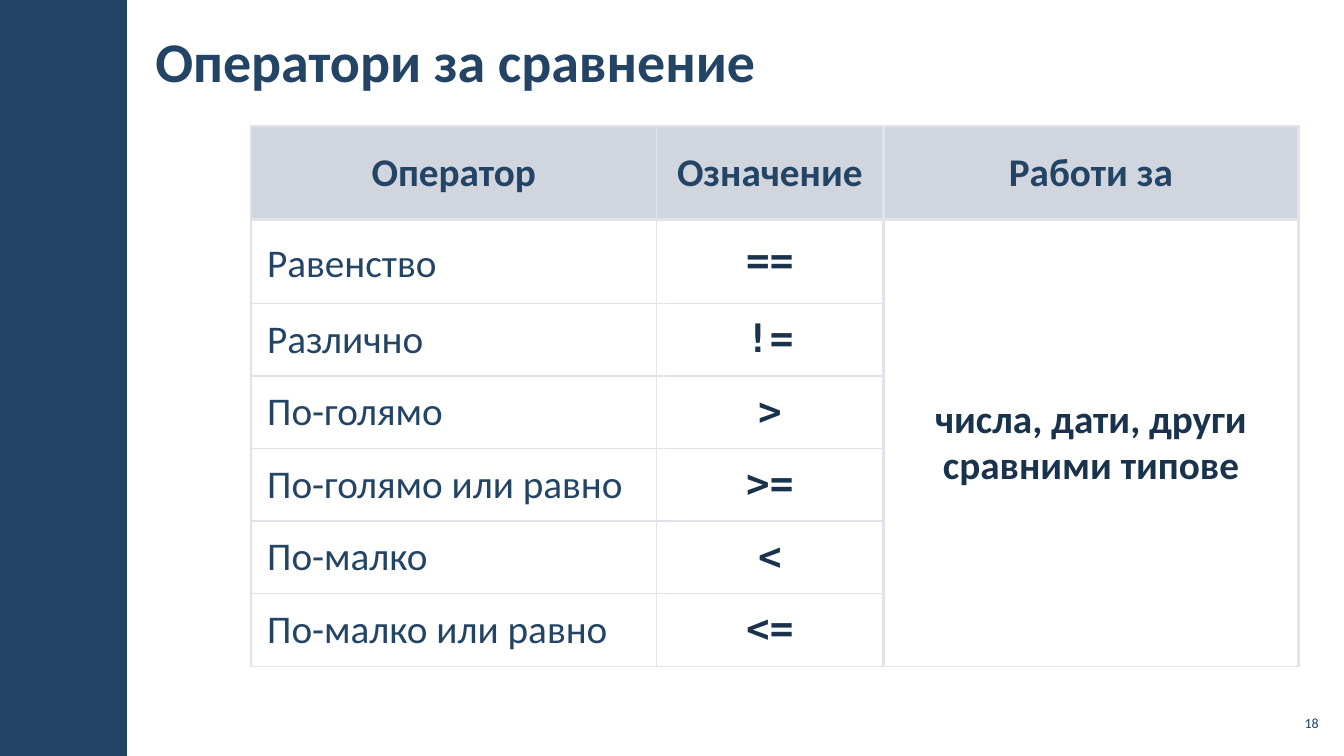
from lxml import etree
from pptx import Presentation
from pptx.dml.color import RGBColor
from pptx.enum.shapes import MSO_SHAPE
from pptx.enum.text import MSO_ANCHOR, PP_ALIGN
from pptx.oxml.ns import qn
from pptx.util import Inches, Pt

RECTANGLE = MSO_SHAPE.RECTANGLE
MIDDLE = MSO_ANCHOR.MIDDLE
LEFT, CENTER, RIGHT = PP_ALIGN.LEFT, PP_ALIGN.CENTER, PP_ALIGN.RIGHT
TITLE_ONLY = 5

COLORS = {"navy": "234465", "ink": "1A334C", "header": "D1D5DD", "border": "E0E3E9"}
SANS, MONO = "Calibri", "DejaVu Sans Mono"
THIN, THICK = Pt(1), Pt(2.25)

HEADERS = ["Оператор", "Означение", "Работи за"]
OPERATORS = [
    ("Равенство", "=="),
    ("Различно", "!="),
    ("По-голямо", ">"),
    ("По-голямо или равно", ">="),
    ("По-малко", "<"),
    ("По-малко или равно", "<="),
]
APPLIES_TO = "числа, дати, други сравними типове"
COLUMN_WIDTHS = [4.02, 2.25, 4.12]
ROW_HEIGHTS = [0.93, 0.83] + [0.72] * 5


def color(name):
    """Return the named palette colour."""
    return RGBColor.from_string(COLORS[name])


def write(frame, text, size, align, ink="navy", bold=False, font=SANS):
    """Fill a text frame with one formatted paragraph and return it."""
    frame.text = text
    paragraph = frame.paragraphs[0]
    paragraph.alignment = align
    paragraph.font.name = font
    paragraph.font.size = Pt(size)
    paragraph.font.bold = bold
    paragraph.font.color.rgb = color(ink)
    return paragraph


def place(shape, left, top, width, height):
    """Move and size a shape, in inches."""
    shape.left, shape.top = Inches(left), Inches(top)
    shape.width, shape.height = Inches(width), Inches(height)


def add_sidebar(slide):
    """Draw the dark band along the left edge."""
    sidebar = slide.shapes.add_shape(RECTANGLE, 0, 0, Inches(1.26), Inches(7.5))
    sidebar.shadow.inherit = False
    sidebar.fill.solid()
    sidebar.fill.fore_color.rgb = color("navy")
    sidebar.line.fill.background()


def set_title(slide, text):
    """Place and format the slide title."""
    title = slide.shapes.title
    place(title, 1.42, 0.11, 9.18, 0.97)
    frame = title.text_frame
    frame.vertical_anchor = MIDDLE
    frame.margin_left = frame.margin_right = Inches(0.12)
    frame.margin_top = frame.margin_bottom = Inches(0.04)
    write(frame, text, 40, LEFT, bold=True)


def add_page_number(slide, number):
    """Write the page number in the lower right corner."""
    box = slide.shapes.add_textbox(Inches(12.65), Inches(7), Inches(0.47), Inches(0.34))
    frame = box.text_frame
    frame.word_wrap = True
    frame.vertical_anchor = MIDDLE
    frame.margin_left = frame.margin_right = Inches(0.04)
    frame.margin_top = frame.margin_bottom = Inches(0.04)
    write(frame, number, 10, RIGHT)


def set_borders(cell, row, column):
    """Rule a cell: thick around the header and last column, thin elsewhere."""
    widths = {
        "a:lnL": THIN if column == 1 else THICK,
        "a:lnR": THIN if column == 0 else THICK,
        "a:lnT": THICK if row <= 1 else THIN,
        "a:lnB": THICK if row == 0 else THIN,
    }
    properties = cell._tc.get_or_add_tcPr()
    for side, width in widths.items():
        line = etree.SubElement(properties, qn(side), w=str(int(width)))
        fill = etree.SubElement(line, qn("a:solidFill"))
        etree.SubElement(fill, qn("a:srgbClr"), val=COLORS["border"])


def format_cell(cell, row, column):
    """Set the borders, fill, margins and anchor of a cell."""
    set_borders(cell, row, column)
    if row == 0:
        cell.fill.solid()
        cell.fill.fore_color.rgb = color("header")
    else:
        cell.fill.background()
    cell.vertical_anchor = MIDDLE
    cell.margin_left = cell.margin_right = Inches(0.16)
    cell.margin_top = cell.margin_bottom = Inches(0.05)


def write_cell(cell, text, align=CENTER, **style):
    """Write table text with the table's size and line spacing."""
    paragraph = write(cell.text_frame, text, 28, align, **style)
    paragraph.line_spacing = 0.95
    return paragraph


def add_operator_table(slide):
    """Build the table of comparison operators."""
    table = slide.shapes.add_table(
        len(ROW_HEIGHTS), len(COLUMN_WIDTHS), Inches(2.49), Inches(1.25),
        Inches(sum(COLUMN_WIDTHS)), Inches(sum(ROW_HEIGHTS))).table
    table.first_row = table.horz_banding = False
    for column, width in zip(table.columns, COLUMN_WIDTHS):
        column.width = Inches(width)
    for row, height in zip(table.rows, ROW_HEIGHTS):
        row.height = Inches(height)
    for row in range(len(ROW_HEIGHTS)):
        for column in range(len(COLUMN_WIDTHS)):
            format_cell(table.cell(row, column), row, column)

    for column, header in enumerate(HEADERS):
        write_cell(table.cell(0, column), header, bold=True)
    for row, (meaning, operator) in enumerate(OPERATORS, 1):
        write_cell(table.cell(row, 0), meaning, LEFT)
        write_cell(table.cell(row, 1), operator, ink="ink", bold=True, font=MONO)
    equality = table.cell(1, 0).text_frame.paragraphs[0]
    equality.line_spacing = Pt(38)
    equality.space_before = equality.space_after = Pt(6)

    table.cell(1, 2).merge(table.cell(len(OPERATORS), 2))
    write_cell(table.cell(1, 2), APPLIES_TO, ink="ink", bold=True)


def main():
    """Build and save the slide."""
    presentation = Presentation()
    presentation.slide_width = Inches(13.33)
    presentation.slide_height = Inches(7.5)
    slide = presentation.slides.add_slide(presentation.slide_layouts[TITLE_ONLY])
    add_sidebar(slide)
    set_title(slide, "Оператори за сравнение")
    add_page_number(slide, "18")
    add_operator_table(slide)
    presentation.save("out.pptx")


if __name__ == "__main__":
    main()
